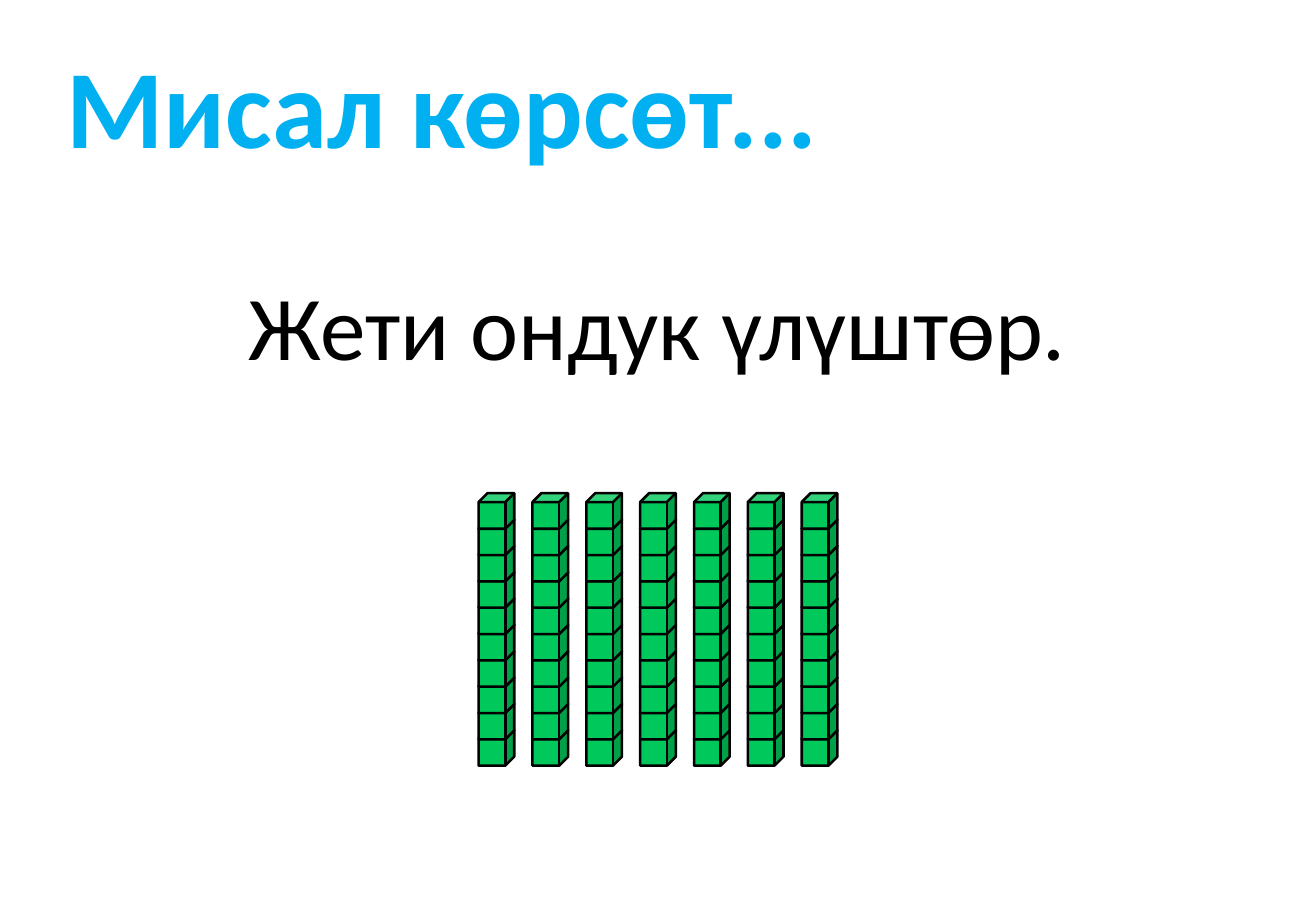
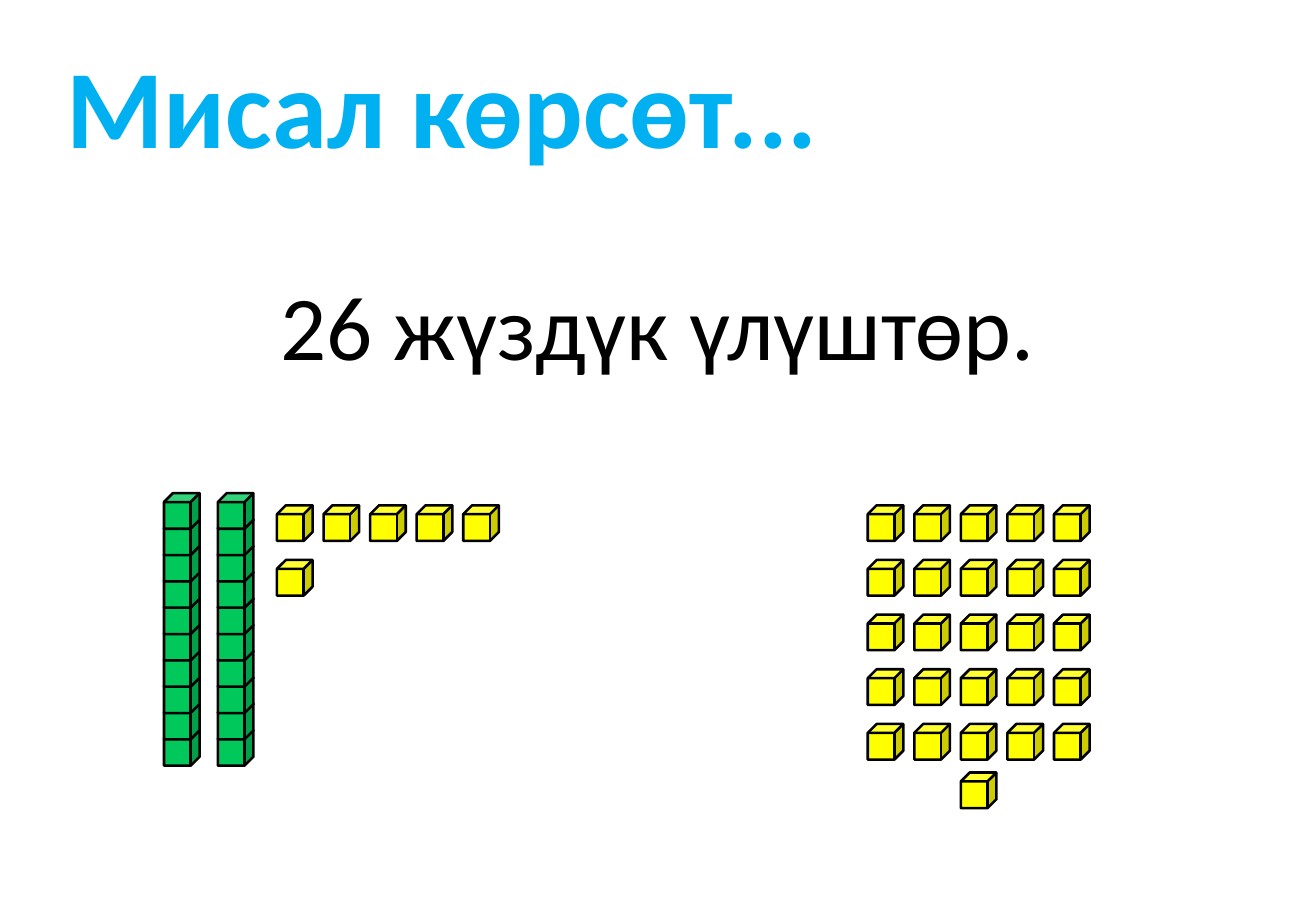
from pptx import Presentation
from pptx.dml.color import RGBColor
from pptx.enum.shapes import MSO_SHAPE as Shape
from pptx.enum.text import MSO_AUTO_SIZE as AutoSize, PP_ALIGN as Align
from pptx.util import Emu, Pt


def px(n):
    return Emu(n * 3048)


def rgb(code):
    return RGBColor.from_string(code)


class Deck:
    FONT = "Calibri"
    BLUE, BLACK = "00B0F0", "000000"
    GREEN, YELLOW = "00C85A", "FFFF00"
    CUBE = 88
    ROD_STEP, ROD_CUBE_STEP, ROD_TOP = 133, 65, 1218
    UNIT_STEP, UNIT_ROW_STEP, UNIT_TOP = 115, 135, 1248

    def __init__(self):
        self.prs = Presentation()
        self.prs.slide_width, self.prs.slide_height = px(3250), px(2250)
        self.s = None

    def slide(self):
        self.s = self.prs.slides.add_slide(self.prs.slide_layouts[6])

    def text(self, text, left, top, width, height, size, color, bold=False,
             align=Align.LEFT, wrap=True, inset=30):
        tf = self.s.shapes.add_textbox(px(left), px(top), px(width), px(height)).text_frame
        tf.word_wrap = wrap
        tf.auto_size = AutoSize.SHAPE_TO_FIT_TEXT
        tf.margin_left = px(inset)
        p = tf.paragraphs[0]
        p.text = text
        p.alignment = align
        p.font.name, p.font.size, p.font.bold = self.FONT, Pt(size), bold
        p.font.color.rgb = rgb(color)

    def title(self, text):
        self.text(text, 72, 78, 2262, 363, 66, self.BLUE, bold=True, inset=92)

    def statement(self, text, left, width):
        self.text(text, left, 651, width, 303, 54, self.BLACK, align=Align.CENTER, wrap=False)

    def group(self):
        return self.s.shapes.add_group_shape()

    def cube(self, group, left, top, color):
        sp = group.shapes.add_shape(Shape.CUBE, px(left), px(top), px(self.CUBE), px(self.CUBE))
        sp.shadow.inherit = False
        sp.fill.solid()
        sp.fill.fore_color.rgb = rgb(color)
        sp.line.color.rgb = rgb(self.BLACK)
        sp.line.width = Pt(1.5)

    def rods(self, group, left, count):
        for col in range(count):
            for row in reversed(range(10)):
                self.cube(group, left + col * self.ROD_STEP,
                          self.ROD_TOP + row * self.ROD_CUBE_STEP, self.GREEN)

    def units(self, group, left, count):
        for i in range(count):
            row, col = divmod(i, 5)
            self.cube(group, left + col * self.UNIT_STEP,
                      self.UNIT_TOP + row * self.UNIT_ROW_STEP, self.YELLOW)


def main():
    deck = Deck()
    heading = "Мисал көрсөт..."

    deck.slide()
    deck.statement("Жети ондук үлүштөр.", 570, 2109)
    deck.rods(deck.group(), 1182, 7)
    deck.title(heading)

    deck.slide()
    deck.statement("26 жүздүк үлүштөр.", 648, 1953)
    mixed = deck.group()
    deck.rods(mixed, 405, 2)
    deck.units(mixed, 684, 6)
    loose = deck.group()
    deck.units(loose, 2143, 25)
    deck.cube(loose, 2373, 1908, deck.YELLOW)
    deck.title(heading)

    deck.prs.save("out.pptx")


if __name__ == "__main__":
    main()
